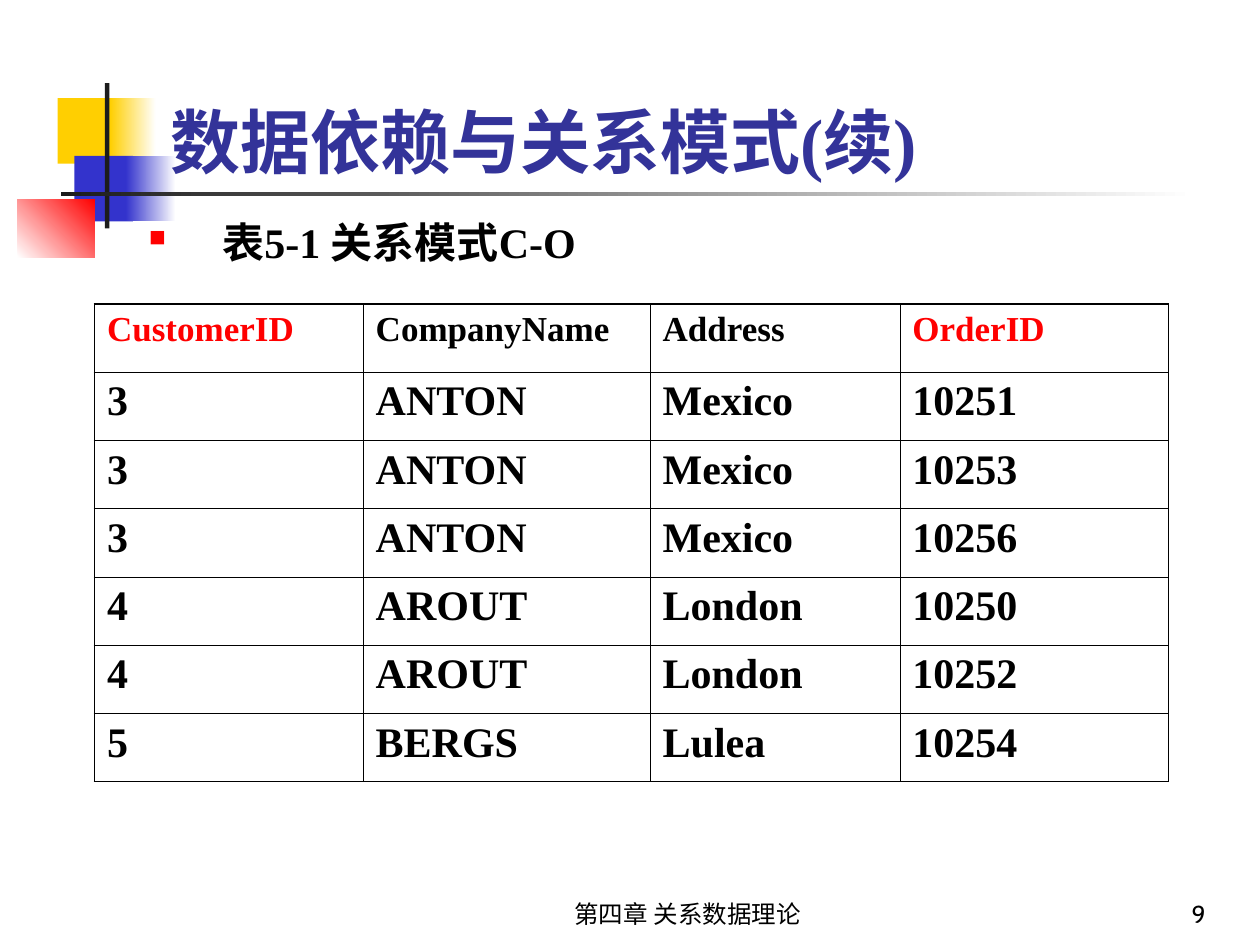
from dataclasses import dataclass

from lxml.etree import SubElement
from pptx import Presentation
from pptx.dml.color import RGBColor
from pptx.enum.shapes import MSO_SHAPE
from pptx.enum.text import MSO_ANCHOR, PP_ALIGN
from pptx.oxml import parse_xml
from pptx.oxml.ns import nsdecls, qn
from pptx.util import Pt


@dataclass(frozen=True)
class Theme:
    gold: str = "FFCF01"
    blue: str = "3333CC"
    red: str = "FF0000"
    dark: str = "1C1C1C"
    white: str = "FFFFFF"
    black: str = "000000"
    title: str = "333399"
    serif: str = "Times New Roman"
    sans: str = "Cabin"
    huge: float = 40
    large: float = 24
    head: float = 20
    small: float = 14
    thin: float = 0.45
    thick: float = 1.08


def write(frame, text, size, font, color, bold=False, align=PP_ALIGN.LEFT):
    para = frame.paragraphs[0]
    para.alignment = align
    run = para.add_run()
    run.text = text
    run.font.size = Pt(size)
    run.font.name = font
    run.font.bold = bold
    run.font.color.rgb = RGBColor.from_string(color)
    return para


def bullet(para, color, percent, left, hang):
    props = para._p.get_or_add_pPr()
    props.set("marL", str(Pt(left)))
    props.set("indent", str(-Pt(hang)))
    tint = SubElement(props, qn("a:buClr"))
    SubElement(tint, qn("a:srgbClr"), val=color)
    SubElement(props, qn("a:buSzPct"), val=str(percent * 1000))
    SubElement(props, qn("a:buChar"), char="■")


def border(cell, widths, color):
    """Draw the left, right, top and bottom edges, in that order."""
    props = cell._tc.get_or_add_tcPr()
    for place, (side, width) in enumerate(zip("LRTB", widths)):
        props.insert(place, parse_xml(
            f'<a:ln{side} {nsdecls("a")} w="{Pt(width)}"><a:solidFill>'
            f'<a:srgbClr val="{color}"/></a:solidFill></a:ln{side}>'))


class Deck:
    def __init__(self, theme):
        self.theme = theme
        self.file = Presentation()
        self.file.slide_width, self.file.slide_height = Pt(720), Pt(540)
        self.slide = self.file.slides.add_slide(self.file.slide_layouts[6])

    def block(self, box, start, end=None, angle=0):
        """Add a rectangle, solid or fading from start to end."""
        shape = self.slide.shapes.add_shape(
            MSO_SHAPE.RECTANGLE, *map(Pt, box))
        shape.shadow.inherit = False
        shape.line.fill.background()
        if end is None:
            shape.fill.solid()
            shape.fill.fore_color.rgb = RGBColor.from_string(start)
            return
        shape.fill.gradient()
        shape.fill.gradient_angle = angle
        for stop, color in zip(shape.fill.gradient_stops, (start, end)):
            stop.color.rgb = RGBColor.from_string(color)

    def label(self, box, text, anchor=MSO_ANCHOR.BOTTOM, **style):
        frame = self.slide.shapes.add_textbox(*map(Pt, box)).text_frame
        frame.word_wrap = True
        frame.vertical_anchor = anchor
        return write(frame, text, **style)

    def table(self, left, top, widths, height, rows, keys):
        """Add a ruled table; headers in keys are marked in red."""
        look = self.theme
        tall, wide = len(rows), len(widths)
        shape = self.slide.shapes.add_table(
            tall, wide, Pt(left), Pt(top), Pt(sum(widths)), Pt(height * tall))
        grid = shape.table
        grid.first_row = grid.horz_banding = False
        for col, width in zip(grid.columns, widths):
            col.width = Pt(width)
        for r, row in enumerate(rows):
            grid.rows[r].height = Pt(height)
            for c, text in enumerate(row):
                cell = grid.cell(r, c)
                cell.fill.background()
                outer = (c == 0, c == wide - 1, r == 0, r == tall - 1)
                border(cell, [look.thick if edge else look.thin
                              for edge in outer], look.black)
                write(cell.text_frame, text, font=look.serif, bold=True,
                      size=look.large if r else look.head,
                      color=look.red if text in keys else look.black)

    def save(self):
        self.file.save("out.pptx")


def main():
    look = Theme()
    deck = Deck(look)

    deck.block((33, 56, 35, 37.5), look.gold)
    deck.block((63, 56, 26, 37.5), look.gold, look.white)
    deck.block((42.5, 89, 33.5, 37.5), look.blue)
    deck.block((72, 89, 28.5, 37.5), look.blue, look.white)
    deck.block((10, 113.75, 44.25, 33.5), look.white, look.red, angle=45)
    deck.block((60, 47.5, 2.5, 83), look.dark)
    deck.block((35, 109.75, 648, 2.5), look.dark, look.white)

    deck.label((90.5, 18, 605.5, 90), "数据依赖与关系模式(续)",
               size=look.huge, font=look.serif, color=look.title, bold=True)
    lead = deck.label((42, 120, 321, 366), "表5-1 关系模式C-O",
                      anchor=MSO_ANCHOR.TOP, size=look.large,
                      font=look.serif, color=look.black, bold=True)
    bullet(lead, look.red, percent=55, left=78, hang=42)

    rows = [
        ("CustomerID", "CompanyName", "Address", "OrderID"),
        ("3", "ANTON", "Mexico", "10251"),
        ("3", "ANTON", "Mexico", "10253"),
        ("3", "ANTON", "Mexico", "10256"),
        ("4", "AROUT", "London", "10250"),
        ("4", "AROUT", "London", "10252"),
        ("5", "BERGS", "Lulea", "10254"),
    ]
    deck.table(54, 173.75, (153.5, 164, 142.75, 153.5), 39, rows,
               keys=("CustomerID", "OrderID"))

    foot = dict(size=look.small, font=look.sans, color=look.black)
    deck.label((264, 498, 258, 36), "第四章 关系数据理论",
               align=PP_ALIGN.CENTER, **foot)
    deck.label((540, 498, 156, 36), "9", align=PP_ALIGN.RIGHT, **foot)
    deck.save()


if __name__ == "__main__":
    main()
